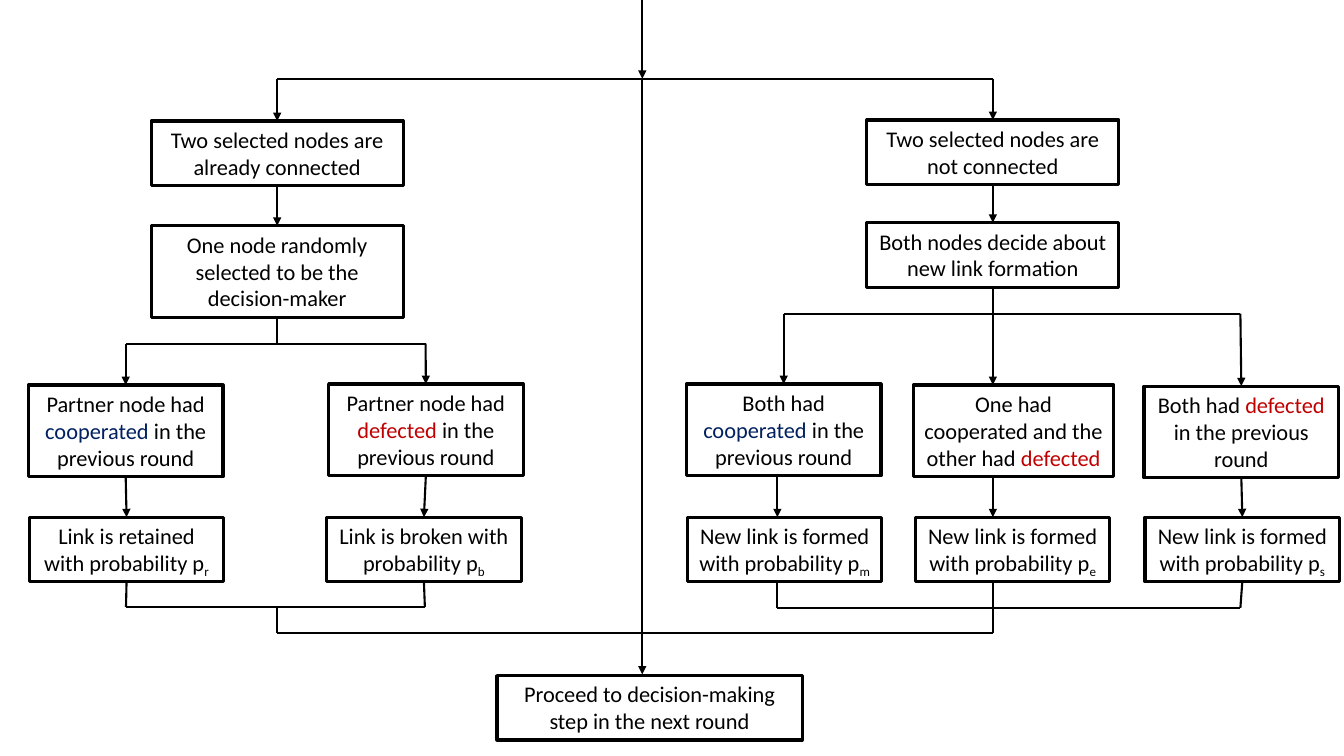
from lxml import etree
from pptx import Presentation
from pptx.dml.color import RGBColor
from pptx.enum.shapes import MSO_CONNECTOR
from pptx.enum.text import MSO_AUTO_SIZE, PP_ALIGN
from pptx.oxml.ns import qn
from pptx.util import Pt

STRAIGHT = MSO_CONNECTOR.STRAIGHT
CENTER = PP_ALIGN.CENTER
GROW = MSO_AUTO_SIZE.SHAPE_TO_FIT_TEXT
TOP_SITE, BOTTOM_SITE = 0, 2

COLORS = {"ink": "000000", "cooperate": "002060", "defect": "C00000"}
FONT = "Calibri"
TWO_LINES, THREE_LINES = 46, 65.5  # box heights
WIDE, NARROW = 180, 139  # box widths

# Vertical axes and horizontal levels
LEFT_X, MIDDLE_X, RIGHT_X = 198, 458.8, 709.2
SPLIT_Y, MERGE_Y, OUTCOME_Y = 56.3, 452.2, 369.4

COOPERATED = ("cooperated", {"color": "cooperate"})
DEFECTED = ("defected", {"color": "defect"})
IN_PREVIOUS_ROUND = (" in the previous round", {})
NEW_LINK = "New link is formed with probability p"

# Case centre, top, width, text; outcome centre, text, subscript; entry and exit x
LEFT_CASES = [
    (89.8, 275, NARROW, [("Partner node had ", {}), COOPERATED, IN_PREVIOUS_ROUND],
     90.4, "Link is retained with probability p", "r", 89.8, 90),
    (304.2, 274.3, NARROW, [("Partner node had ", {}), DEFECTED, IN_PREVIOUS_ROUND],
     302.8, "Link is broken with probability p", "b", 304, 303.5),
]
RIGHT_CASES = [
    (559.8, 274.3, NARROW, [("Both had ", {}), COOPERATED, IN_PREVIOUS_ROUND],
     560.5, NEW_LINK, "m", 559.8, 555.3),
    (724, 275, 143.3, [("One had cooperated and the other had ", {}), DEFECTED],
     723.3, NEW_LINK, "e", RIGHT_X, RIGHT_X),
    (886.7, 275.8, NARROW, [("Both had ", {}), DEFECTED, IN_PREVIOUS_ROUND],
     887.4, NEW_LINK, "s", 886, 886),
]


def add_run(paragraph, text, size=16, color="ink", subscript=False):
    run = paragraph.add_run()
    run.text = text
    run.font.name = FONT
    run.font.size = Pt(size)
    run.font.color.rgb = RGBColor.from_string(COLORS[color])
    if subscript:
        run.font._element.set("baseline", "-25000")


def add_box(slide, center, top, width, height, runs):
    box = slide.shapes.add_textbox(Pt(center - width / 2), Pt(top), Pt(width), Pt(height))
    box.line.color.rgb = RGBColor.from_string(COLORS["ink"])
    box.line.width = Pt(2.25)
    box.text_frame.word_wrap = True
    box.text_frame.auto_size = GROW
    paragraph = box.text_frame.paragraphs[0]
    paragraph.alignment = CENTER
    for text, text_format in runs:
        add_run(paragraph, text, **text_format)
    return box


def site_point(box, site):
    y = box.top if site == TOP_SITE else box.top + box.height
    return (box.left + box.width / 2) / Pt(1), y / Pt(1)


def port(box, x, site):
    """Give the box if x is at the middle of its side, else a point on that side."""
    middle, y = site_point(box, site)
    return box if abs(middle - x) < 2 else (x, y)


def add_line(slide, start, end, arrow=False, weight=1.5):
    """Draw from start to end, each a point or a box (left below, entered above)."""
    start_joined = not isinstance(start, tuple)
    end_joined = not isinstance(end, tuple)
    x1, y1 = site_point(start, BOTTOM_SITE) if start_joined else start
    x2, y2 = site_point(end, TOP_SITE) if end_joined else end
    connector = slide.shapes.add_connector(STRAIGHT, Pt(x1), Pt(y1), Pt(x2), Pt(y2))
    if start_joined:
        connector.begin_connect(start, BOTTOM_SITE)
    if end_joined:
        connector.end_connect(end, TOP_SITE)
    connector.line.color.rgb = RGBColor.from_string(COLORS["ink"])
    connector.line.width = Pt(weight)
    if arrow:
        etree.SubElement(connector.get_or_add_ln(), qn("a:tailEnd"), type="triangle")
    etree.SubElement(connector._element.spPr, qn("a:effectLst"))


def add_branch(slide, trunk_x, first, second, cases, case_bus_y, outcome_bus_y):
    """Draw one side: two steps, then its cases and their outcomes."""
    (first_text, first_top), (second_text, second_top, second_height) = first, second
    first_box = add_box(slide, trunk_x, first_top, WIDE, TWO_LINES, [(first_text, {})])
    second_box = add_box(slide, trunk_x, second_top, WIDE, second_height, [(second_text, {})])
    add_line(slide, (trunk_x, SPLIT_Y), first_box, arrow=True)
    add_line(slide, first_box, second_box, arrow=True)
    add_line(slide, second_box, (trunk_x, case_bus_y))

    for center, top, width, runs, outcome_center, outcome, letter, entry_x, exit_x in cases:
        case_box = add_box(slide, center, top, width, THREE_LINES, runs)
        outcome_box = add_box(slide, outcome_center, OUTCOME_Y, NARROW, TWO_LINES,
                              [(outcome, {}), (letter, {"subscript": True})])
        add_line(slide, (entry_x, case_bus_y), port(case_box, entry_x, TOP_SITE), arrow=True)
        add_line(slide, port(case_box, exit_x, BOTTOM_SITE),
                 port(outcome_box, exit_x, TOP_SITE), arrow=True)
        add_line(slide, port(outcome_box, exit_x, BOTTOM_SITE), (exit_x, outcome_bus_y))

    # Buses that spread to the cases and gather the outcomes
    entries = [case[-2] for case in cases]
    exits = [case[-1] for case in cases]
    add_line(slide, (entries[0], case_bus_y), (entries[-1], case_bus_y))
    add_line(slide, (exits[0], outcome_bus_y), (exits[-1], outcome_bus_y))
    if trunk_x in exits:
        outcome_bus_y = OUTCOME_Y + TWO_LINES
    add_line(slide, (trunk_x, outcome_bus_y), (trunk_x, MERGE_Y))
    add_line(slide, (trunk_x, MERGE_Y), (MIDDLE_X, MERGE_Y), weight=1.25)


def main():
    presentation = Presentation()
    presentation.slide_width, presentation.slide_height = Pt(960), Pt(540)
    slide = presentation.slides.add_slide(presentation.slide_layouts[6])

    # Entry and split
    add_line(slide, (MIDDLE_X, 0), (MIDDLE_X, SPLIT_Y), arrow=True)
    add_line(slide, (LEFT_X, SPLIT_Y), (RIGHT_X, SPLIT_Y))

    # The two branches
    add_branch(slide, LEFT_X,
               ("Two selected nodes are already connected", 86.4),
               ("One node randomly selected to be the decision-maker", 161.3, THREE_LINES),
               LEFT_CASES, case_bus_y=245.5, outcome_bus_y=433.5)
    add_branch(slide, RIGHT_X,
               ("Two selected nodes are not connected", 85.7),
               ("Both nodes decide about new link formation", 159.1, TWO_LINES),
               RIGHT_CASES, case_bus_y=224, outcome_bus_y=434.2)

    # Merge into the next round
    add_box(slide, 464, 482.6, 218, TWO_LINES,
            [("Proceed to decision-making step in the next round", {})])
    add_line(slide, (MIDDLE_X, SPLIT_Y), (MIDDLE_X, 481.7), arrow=True)

    presentation.save("out.pptx")


if __name__ == "__main__":
    main()
